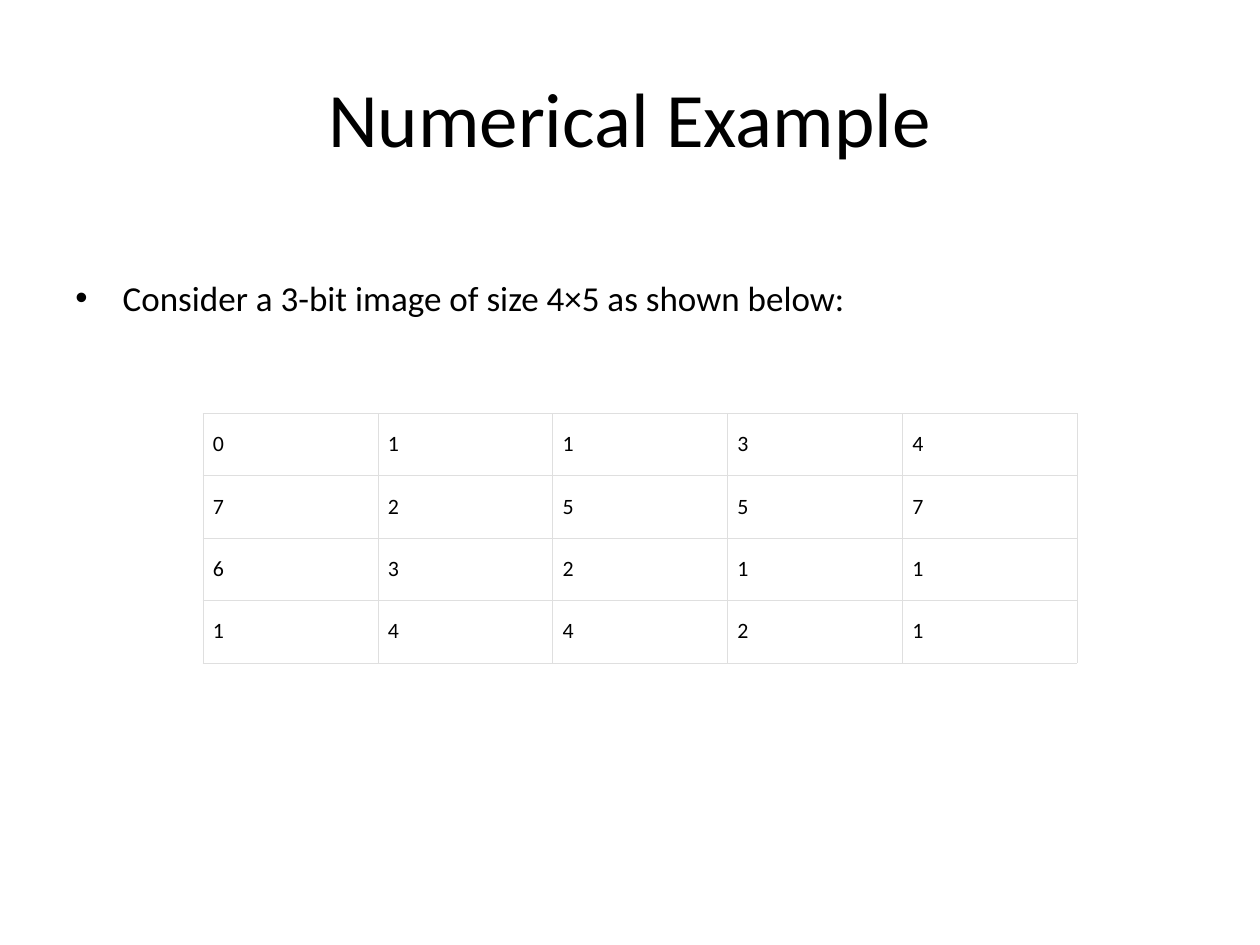
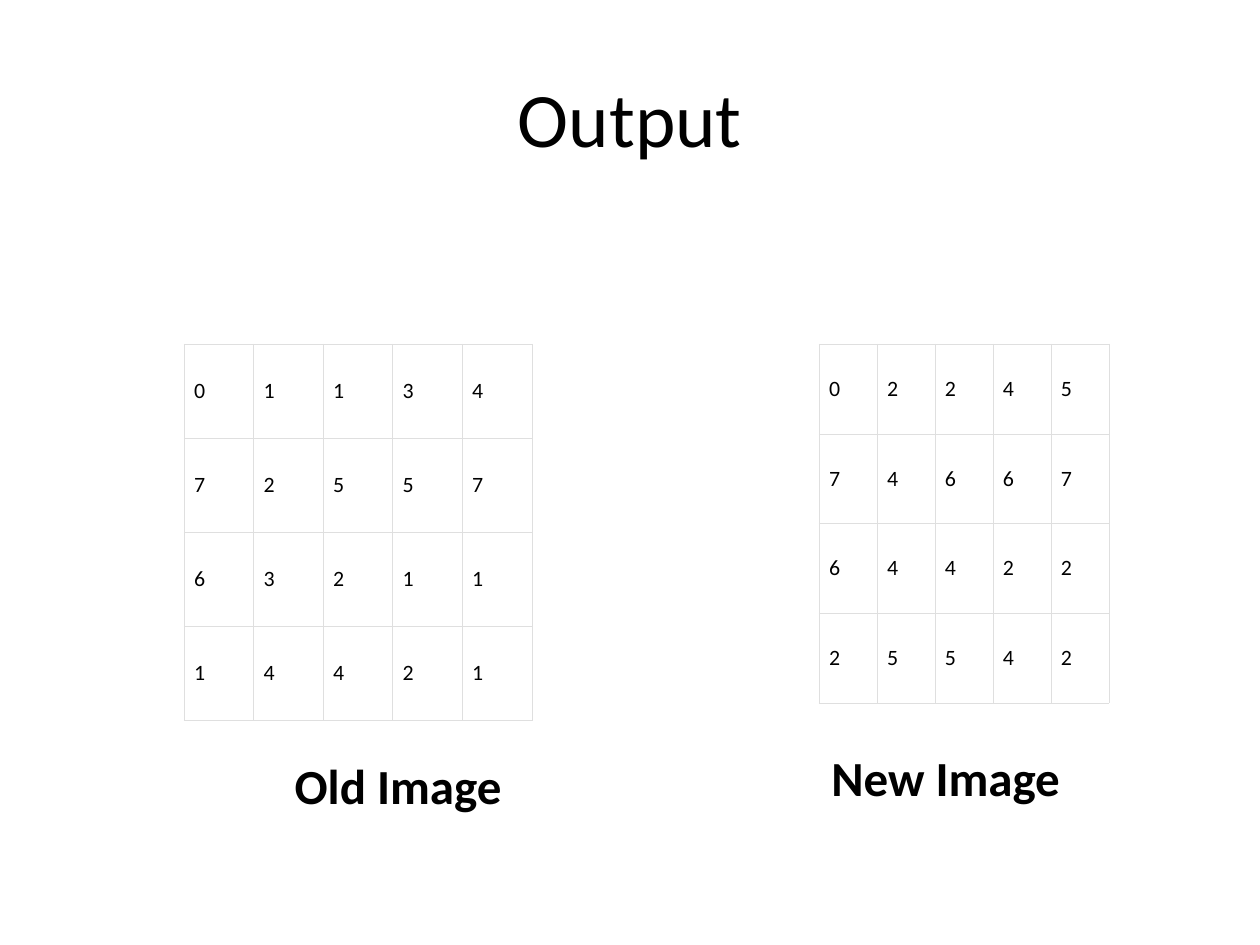
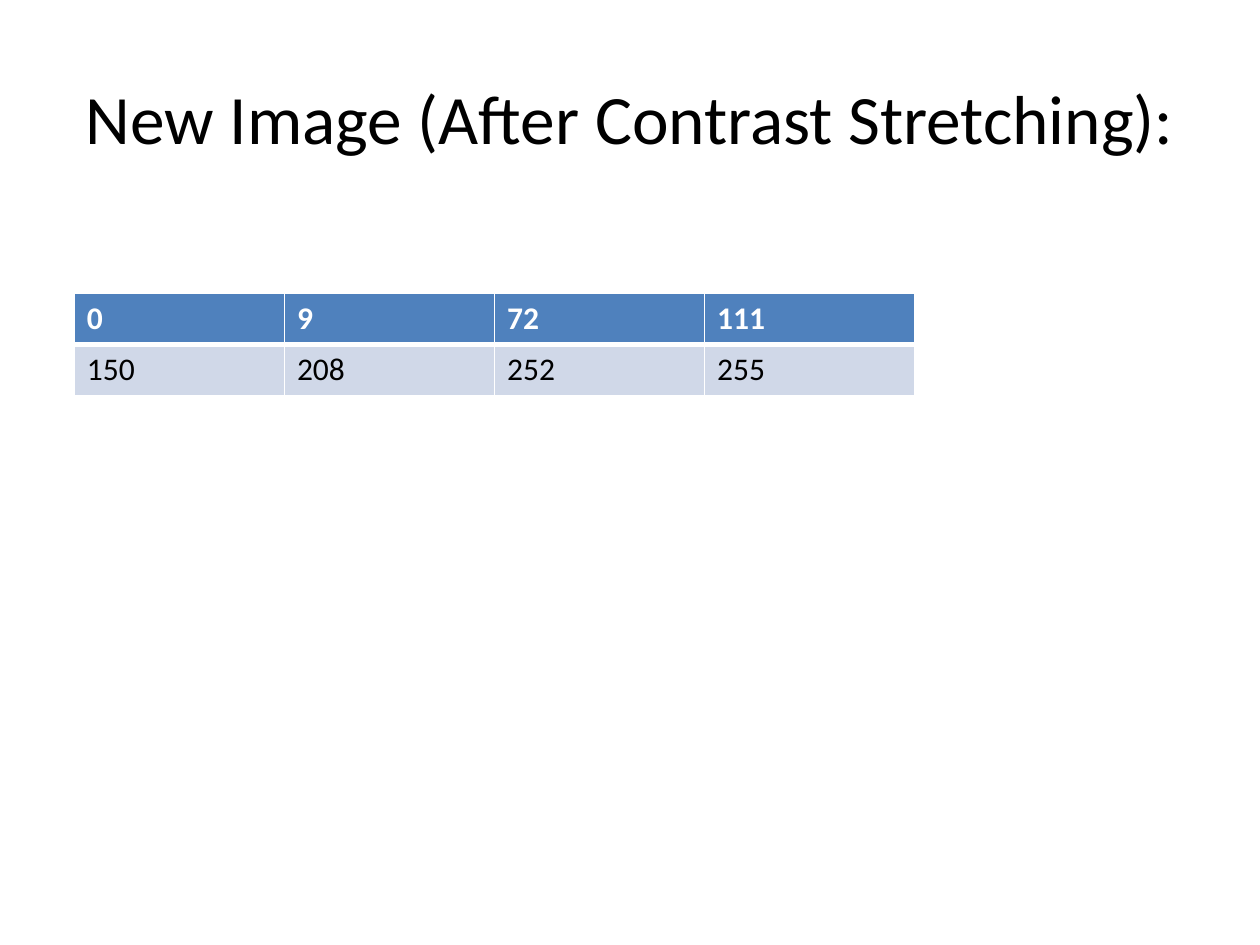
import dataclasses
import typing

import pptx
import pptx.dml.color
import pptx.enum.text
import pptx.oxml.ns
import pptx.presentation
import pptx.slide
import pptx.table
import pptx.text.text
import pptx.util
from lxml import etree

FONT = "Calibri"
BLACK, WHITE = "000000", "FFFFFF"
HAIRLINE, HEADER_BLUE, BAND_BLUE = "DFDFDF", "4F81BD", "D0D8E8"

SLIDE_WIDTH, SLIDE_HEIGHT = pptx.util.Inches(10), pptx.util.Inches(7.5)
COLUMN, ROW = SLIDE_WIDTH / 100, SLIDE_HEIGHT / 75

MIDDLE = pptx.enum.text.MSO_ANCHOR.MIDDLE
TOP = pptx.enum.text.MSO_ANCHOR.TOP

Levels = list[list[int]]

OLD_IMAGE: Levels = [
    [0, 1, 1, 3, 4],
    [7, 2, 5, 5, 7],
    [6, 3, 2, 1, 1],
    [1, 4, 4, 2, 1],
]
EQUALIZED = [0, 2, 4, 4, 5, 6, 6, 7]
NEW_IMAGE: Levels = [[EQUALIZED[level] for level in row] for row in OLD_IMAGE]
STRETCHED: Levels = [[0, 9, 72, 111], [150, 208, 252, 255]]


class Area(typing.NamedTuple):
    left: float
    top: float
    width: float
    height: float

    def box(self) -> tuple[int, int, int, int]:
        return (round(self.left * COLUMN), round(self.top * ROW),
                round(self.width * COLUMN), round(self.height * ROW))


class Edge(typing.NamedTuple):
    color: str
    points: float


@dataclasses.dataclass(frozen=True)
class Type:
    size: float
    color: str = BLACK
    bold: bool = False


@dataclasses.dataclass(frozen=True)
class RowLook:
    text: Type
    fill: str
    side: Edge
    top: Edge
    bottom: Edge
    anchor: pptx.enum.text.MSO_ANCHOR = TOP
    inset: tuple[float, float] = (1, 0.5)


THIN = Edge(HAIRLINE, 0.18)
GAP, SEAM = Edge(WHITE, 1), Edge(WHITE, 3)
PIXELS = RowLook(Type(12.5), WHITE, THIN, THIN, THIN, MIDDLE, (0.8, 1.2))
HEADER = RowLook(Type(18, WHITE, True), HEADER_BLUE, GAP, GAP, SEAM)
BAND = RowLook(Type(18), BAND_BLUE, GAP, SEAM, GAP)

TITLE_AREA = Area(5, 3, 90, 12.5)
BODY_AREA = Area(5, 17.5, 90, 49.5)


def rgb(color: str) -> pptx.dml.color.RGBColor:
    return pptx.dml.color.RGBColor.from_string(color)


def write(paragraph: pptx.text.text._Paragraph, words: str, look: Type) -> None:
    run = paragraph.add_run()
    run.text = words
    run.font.name = FONT
    run.font.size = pptx.util.Pt(look.size)
    run.font.bold = look.bold
    run.font.color.rgb = rgb(look.color)


def add_words(slide: pptx.slide.Slide, area: Area, words: str,
              look: Type) -> pptx.text.text.TextFrame:
    frame = slide.shapes.add_textbox(*area.box()).text_frame
    frame.word_wrap = True
    write(frame.paragraphs[0], words, look)
    return frame


def add_title(slide: pptx.slide.Slide, words: str, size: float = 44) -> None:
    frame = add_words(slide, TITLE_AREA, words, Type(size))
    frame.vertical_anchor = MIDDLE
    frame.paragraphs[0].alignment = pptx.enum.text.PP_ALIGN.CENTER


def add_bullet(slide: pptx.slide.Slide, words: str) -> None:
    frame = add_words(slide, BODY_AREA, words, Type(20))
    frame.margin_top = round(4.45 * ROW)
    properties = frame.paragraphs[0]._p.get_or_add_pPr()
    indent = round(3.75 * COLUMN)
    properties.set("marL", str(indent))
    properties.set("indent", str(-indent))
    etree.SubElement(properties, pptx.oxml.ns.qn("a:buFont"), typeface="Arial")
    etree.SubElement(properties, pptx.oxml.ns.qn("a:buChar"), char="•")


def add_caption(slide: pptx.slide.Slide, area: Area, words: str) -> None:
    frame = add_words(slide, area, words, Type(28, bold=True))
    frame.auto_size = pptx.enum.text.MSO_AUTO_SIZE.SHAPE_TO_FIT_TEXT


def set_borders(cell: pptx.table._Cell, look: RowLook) -> None:
    properties = cell._tc.get_or_add_tcPr()
    edges = {"lnL": look.side, "lnR": look.side, "lnT": look.top, "lnB": look.bottom}
    for position, (tag, edge) in enumerate(edges.items()):
        line = etree.Element(pptx.oxml.ns.qn(f"a:{tag}"),
                             w=str(pptx.util.Pt(edge.points)))
        fill = etree.SubElement(line, pptx.oxml.ns.qn("a:solidFill"))
        etree.SubElement(fill, pptx.oxml.ns.qn("a:srgbClr"), val=edge.color)
        properties.insert(position, line)


def fill_cell(cell: pptx.table._Cell, level: int, look: RowLook) -> None:
    across, down = look.inset
    cell.margin_left = cell.margin_right = round(across * COLUMN)
    cell.margin_top = cell.margin_bottom = round(down * ROW)
    cell.vertical_anchor = look.anchor
    cell.fill.solid()
    cell.fill.fore_color.rgb = rgb(look.fill)
    set_borders(cell, look)
    write(cell.text_frame.paragraphs[0], str(level), look.text)


def add_levels(slide: pptx.slide.Slide, area: Area, levels: Levels,
               looks: list[RowLook]) -> None:
    table = slide.shapes.add_table(len(levels), len(levels[0]), *area.box()).table
    table.first_row = table.horz_banding = False
    for row, (values, look) in enumerate(zip(levels, looks)):
        for column, level in enumerate(values):
            fill_cell(table.cell(row, column), level, look)


def add_image(slide: pptx.slide.Slide, area: Area, levels: Levels) -> None:
    add_levels(slide, area, levels, [PIXELS] * len(levels))


def add_slide(deck: pptx.presentation.Presentation) -> pptx.slide.Slide:
    return deck.slides.add_slide(deck.slide_layouts[6])


def build_example(slide: pptx.slide.Slide) -> None:
    add_title(slide, "Numerical Example")
    add_bullet(slide, "Consider a 3-bit image of size 4×5 as shown below:")
    add_image(slide, Area(16.1, 32.8, 69.4, 19.8), OLD_IMAGE)


def build_output(slide: pptx.slide.Slide) -> None:
    add_title(slide, "Output")
    add_image(slide, Area(65, 27.3, 23, 28.5), NEW_IMAGE)
    add_image(slide, Area(14.6, 27.3, 27.6, 29.9), OLD_IMAGE)
    add_caption(slide, Area(22.4, 59.5, 29.9, 5.7), "Old Image")
    add_caption(slide, Area(65, 58.8, 29.9, 5.7), "New Image")


def build_stretching(slide: pptx.slide.Slide) -> None:
    add_title(slide, "New Image (After Contrast Stretching):", 39.6)
    add_levels(slide, Area(5.9, 23.3, 66.7, 8.1), STRETCHED, [HEADER, BAND])


def main() -> None:
    deck = pptx.Presentation()
    deck.slide_width, deck.slide_height = SLIDE_WIDTH, SLIDE_HEIGHT
    for build in (build_example, build_output, build_stretching):
        build(add_slide(deck))
    deck.save("out.pptx")


if __name__ == "__main__":
    main()
